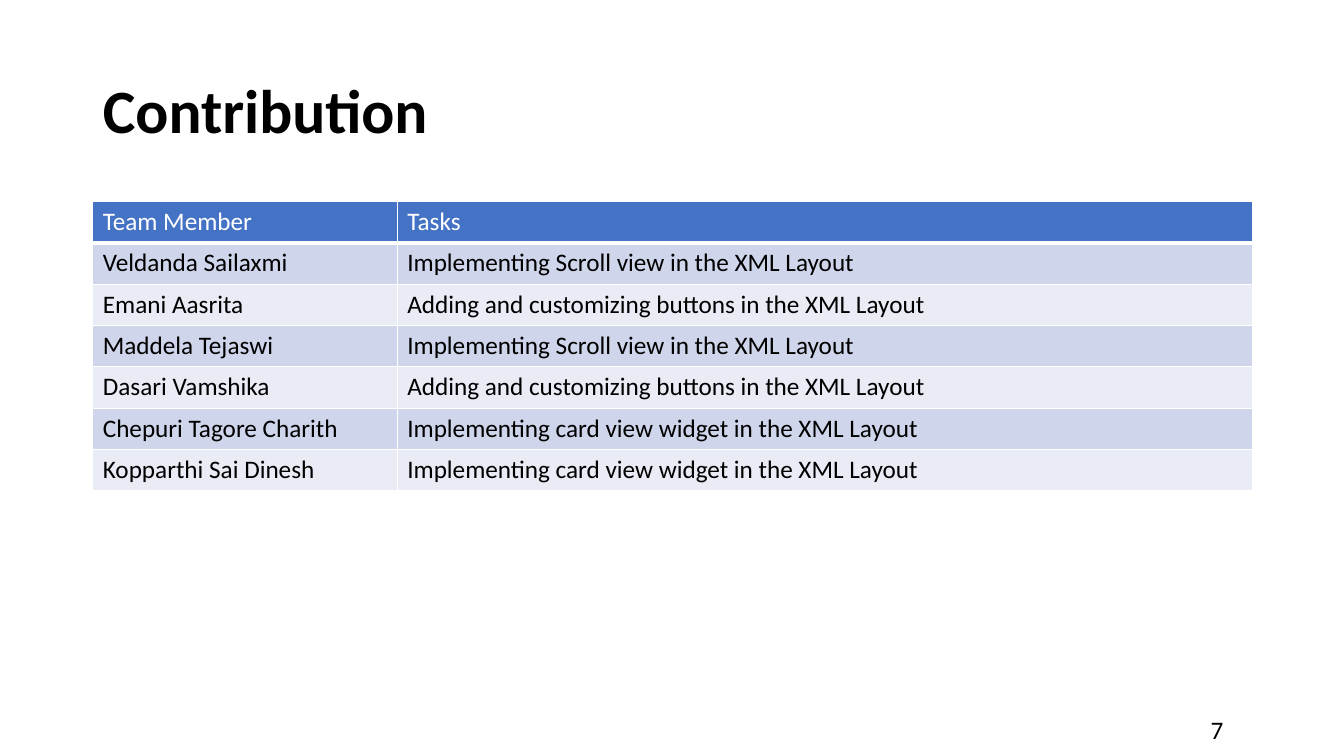
from lxml.etree import SubElement
from pptx import Presentation
from pptx.dml.color import RGBColor
from pptx.enum.text import MSO_ANCHOR, MSO_AUTO_SIZE
from pptx.oxml import parse_xml
from pptx.oxml.ns import nsdecls, qn
from pptx.util import Inches, Pt

BLACK, WHITE, HEADER_BLUE = "000000", "FFFFFF", "4472C4"
BANDS = ("CFD5EA", "E9EBF5")
COLUMN_WIDTHS = (3.02, 8.48)
ROW_HEIGHT = 0.41

SCROLL = "Implementing Scroll view in the XML Layout"
BUTTONS = "Adding and customizing buttons in the XML Layout"
CARDS = "Implementing card view widget in the XML Layout"
CONTRIBUTIONS = [
    ("Team Member", "Tasks"),
    ("Veldanda Sailaxmi", SCROLL),
    ("Emani Aasrita", BUTTONS),
    ("Maddela Tejaswi", SCROLL),
    ("Dasari Vamshika", BUTTONS),
    ("Chepuri Tagore Charith", CARDS),
    ("Kopparthi Sai Dinesh", CARDS),
]


def rgb(hex_color):
    return RGBColor.from_string(hex_color)


def write(frame, text, size=18, color=BLACK, bold=False, line_spacing=None):
    paragraph = frame.paragraphs[0]
    paragraph.line_spacing = line_spacing
    run = paragraph.add_run()
    run.text = text
    run.font.name = "Calibri"
    run.font.size = Pt(size)
    run.font.bold = bold
    run.font.color.rgb = rgb(color)


def set_borders(cell, bottom=1):
    properties = cell._tc.get_or_add_tcPr()
    for index, (side, width) in enumerate(zip("LRTB", (1, 1, 1, bottom))):
        border = parse_xml(f'<a:ln{side} {nsdecls("a")} w="{Pt(width)}"/>')
        fill = SubElement(border, qn("a:solidFill"))
        SubElement(fill, qn("a:srgbClr"), val=WHITE)
        properties.insert(index, border)


def add_title(slide, text):
    title = slide.shapes.title
    title.left, title.top = Inches(0.92), Inches(0.4)
    title.width, title.height = Inches(11.5), Inches(1.45)
    title.text_frame.vertical_anchor = MSO_ANCHOR.MIDDLE
    title.text_frame.word_wrap = True
    write(title.text_frame, text, size=44, bold=True, line_spacing=0.9)
    # The template centres its titles
    title.text_frame.paragraphs[0]._p.get_or_add_pPr().set("algn", "l")


def add_contributions(slide):
    table = slide.shapes.add_table(
        len(CONTRIBUTIONS), len(COLUMN_WIDTHS), Inches(0.92), Inches(2),
        Inches(sum(COLUMN_WIDTHS)), Inches(ROW_HEIGHT * len(CONTRIBUTIONS))).table
    for column, width in zip(table.columns, COLUMN_WIDTHS):
        column.width = Inches(width)
    for row_index, entries in enumerate(CONTRIBUTIONS):
        is_header = row_index == 0
        band = HEADER_BLUE if is_header else BANDS[(row_index - 1) % 2]
        for column_index, entry in enumerate(entries):
            cell = table.cell(row_index, column_index)
            set_borders(cell, bottom=3 if is_header else 1)
            cell.fill.solid()
            cell.fill.fore_color.rgb = rgb(band)
            write(cell.text_frame, entry, color=WHITE if is_header else BLACK)


def add_page_number(slide, number):
    page_number = slide.shapes.add_textbox(
        Inches(11.91), Inches(7.04), Inches(0.33), Inches(0.4))
    page_number.text_frame.word_wrap = False
    page_number.text_frame.auto_size = MSO_AUTO_SIZE.SHAPE_TO_FIT_TEXT
    write(page_number.text_frame, number)


def main():
    presentation = Presentation()
    presentation.slide_width = Inches(13.33)
    presentation.slide_height = Inches(7.5)
    # Title Only layout
    slide = presentation.slides.add_slide(presentation.slide_layouts[5])
    add_title(slide, "Contribution")
    add_contributions(slide)
    add_page_number(slide, "7")
    presentation.save("out.pptx")


if __name__ == "__main__":
    main()
